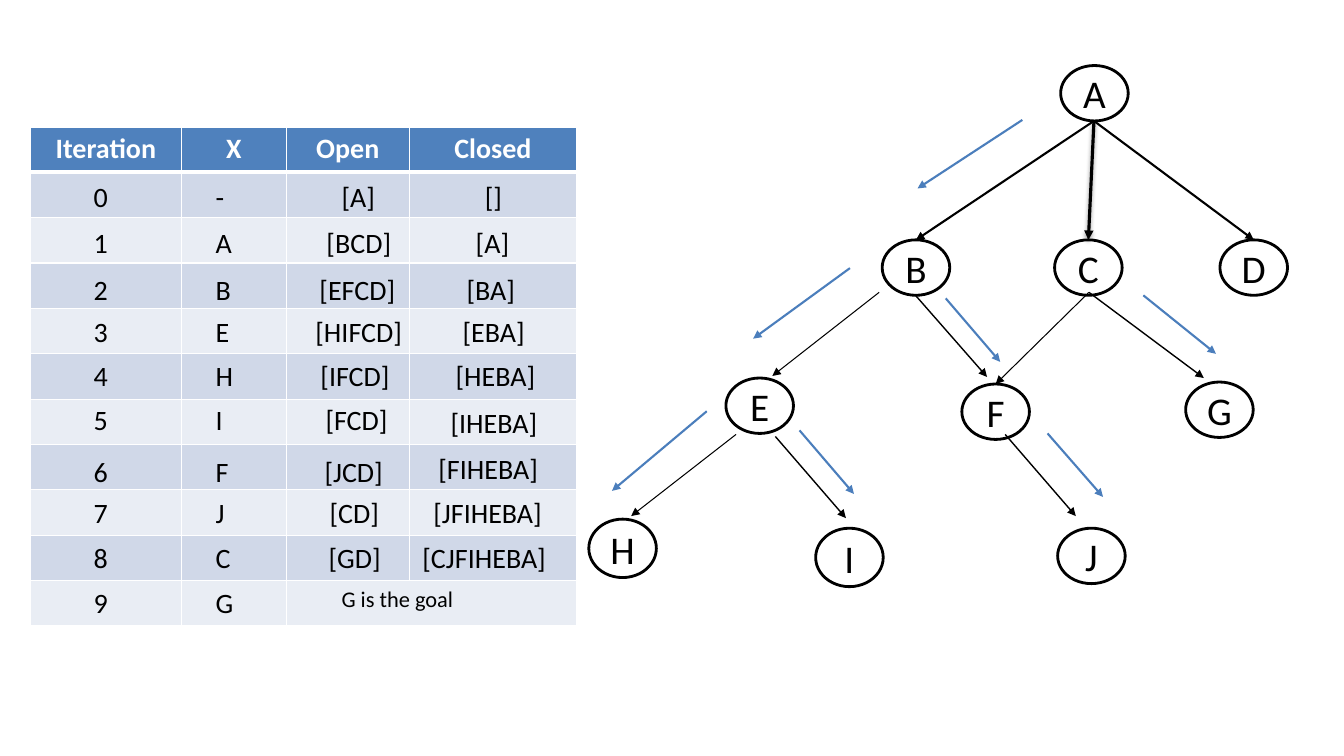
from lxml.etree import SubElement
from pptx import Presentation
from pptx.dml.color import RGBColor
from pptx.enum.shapes import MSO_CONNECTOR, MSO_SHAPE
from pptx.enum.text import MSO_ANCHOR, PP_ALIGN
from pptx.oxml import parse_xml
from pptx.oxml.ns import nsdecls, qn
from pptx.util import Inches, Pt

BLACK, WHITE, BLUE = "000000", "FFFFFF", "4B7EBC"
HEAD, BANDS = "4F81BD", ("D0D8E8", "E9EDF4")

# Table: column widths, header names, row height
COLS = (1.5, 1.04, 1.22, 1.66)
NAMES = ("Iteration", "X", "Open", "Closed")
ROW = 0.45

# Search steps: top, X, then (text, left, width) for Open and Closed
STEPS = [
    (1.73, "-", ("[A]", 3.29, 0.54), ("[]", 4.71, 0.42)),
    (2.19, "A", ("[BCD]", 3.14, 0.84), ("[A]", 4.62, 0.8)),
    (2.65, "B", ("[EFCD]", 3.07, 1.2), ("[BA]", 4.53, 0.8)),
    (3.07, "E", ("[HIFCD]", 3.03, 1.15), ("[EBA]", 4.49, 1.03)),
    (3.51, "H", ("[IFCD]", 3.08, 0.98), ("[HEBA]", 4.42, 1.03)),
    (3.94, "I", ("[FCD]", 3.13, 0.82), ("[IHEBA]", 4.37, 1.16)),
    (4.46, "F", ("[JCD]", 3.12, 0.95), ("[FIHEBA]", 4.25, 1.26)),
    (4.87, "J", ("[CD]", 3.17, 0.73), ("[JFIHEBA]", 4.2, 1.46)),
    (5.31, "C", ("[GD]", 3.16, 0.72), ("[CJFIHEBA]", 4.09, 1.71)),
    (5.76, "G", None, None),
]
SHIFT = {5: 0.03, 6: -0.03}  # vertical offset of Closed in these steps

# Tree nodes: left, top, height
NODES = {
    "A": (10.52, 0.65, 0.55), "B": (8.75, 2.38, 0.55),
    "C": (10.46, 2.38, 0.55), "D": (12.1, 2.38, 0.55),
    "E": (7.2, 3.75, 0.55), "F": (9.54, 3.81, 0.55),
    "G": (11.76, 3.79, 0.55), "H": (5.84, 5.15, 0.58),
    "J": (10.49, 5.24, 0.55), "I": (8.09, 5.24, 0.58),
}

# Tree edges: start, end, width, node joined at its top
EDGES = [
    ((10.85, 1.2), (10.82, 2.38), 2.25, "C"),
    ((10.85, 1.2), (9.08, 2.38), 1.5, "B"),
    ((10.85, 1.2), (12.43, 2.38), 1.5, "D"),
    ((8.72, 2.9), (7.66, 3.73), 0.75, None),
    ((9.08, 2.93), (9.79, 3.74), 1, None),
    ((10.8, 2.9), (9.87, 3.81), 0.75, "F"),
    ((10.8, 2.9), (11.94, 3.75), 1, None),
    ((7.3, 4.31), (6.26, 5.12), 0.75, None),
    ((7.69, 4.33), (8.39, 5.14), 1, None),
    ((9.97, 4.31), (10.67, 5.12), 1, None),
]

# Blue arrows that show the order of the search
MOVES = [
    ((10.14, 1.19), (9.1, 1.87)),
    ((8.43, 2.66), (7.47, 3.36)),
    ((7.01, 4.08), (6.07, 4.87)),
    ((7.93, 4.27), (8.47, 4.9)),
    ((9.38, 2.96), (9.92, 3.59)),
    ((10.39, 4.3), (10.94, 4.93)),
    ((11.34, 2.93), (12.06, 3.51)),
]


def rgb(code):
    return RGBColor.from_string(code)


def write(frame, text, size=20, color=BLACK, bold=False, align=PP_ALIGN.LEFT):
    line = frame.paragraphs[0]
    line.alignment = align
    run = line.add_run()
    run.text = text
    font = run.font
    font.name, font.size, font.bold = "Calibri", Pt(size), bold
    font.color.rgb = rgb(color)


def border(cell, top, base):
    props = cell._tc.get_or_add_tcPr()
    for side, width in zip("LRTB", (1, 1, top, base)):
        props.append(parse_xml(
            f'<a:ln{side} {nsdecls("a")} w="{Pt(width)}"><a:solidFill>'
            f'<a:srgbClr val="{WHITE}"/></a:solidFill></a:ln{side}>'))


class Board:
    def __init__(self, slide):
        self.shapes = slide.shapes

    def grid(self, left, top, count):
        width = Inches(sum(COLS))
        table = self.shapes.add_table(count, len(COLS), Inches(left), Inches(top),
                                      width, Inches(ROW * count)).table
        for col, size in zip(table.columns, COLS):
            col.width = Inches(size)
        for r, row in enumerate(table.rows):
            row.height = Inches(ROW)
            for c, cell in enumerate(row.cells):
                border(cell, 3 if r == 1 else 1, 3 if r == 0 else 1)
                cell.fill.solid()
                cell.fill.fore_color.rgb = rgb(BANDS[(r - 1) % 2] if r else HEAD)
                if r == 0:
                    write(cell.text_frame, NAMES[c], color=WHITE, bold=True,
                          align=PP_ALIGN.CENTER)
        table.cell(count - 1, 2).merge(table.cell(count - 1, 3))

    def label(self, text, left, top, width, height=0.44, **style):
        box = self.shapes.add_textbox(Inches(left), Inches(top),
                                      Inches(width), Inches(height))
        frame = box.text_frame
        frame.word_wrap = True
        frame.margin_right = 0
        write(frame, text, **style)

    def node(self, name, left, top, height):
        oval = self.shapes.add_shape(MSO_SHAPE.OVAL, Inches(left), Inches(top),
                                     Inches(0.67), Inches(height))
        oval.shadow.inherit = False
        oval.fill.solid()
        oval.fill.fore_color.rgb = rgb(WHITE)
        oval.line.color.rgb = rgb(BLACK)
        oval.line.width = Pt(2)
        frame = oval.text_frame
        frame.margin_left = frame.margin_right = 0
        frame.vertical_anchor = MSO_ANCHOR.MIDDLE
        write(frame, name, size=28, align=PP_ALIGN.CENTER)
        return oval

    def arrow(self, start, end, width=1.5, color=BLUE, goal=None, shade=False):
        line = self.shapes.add_connector(MSO_CONNECTOR.STRAIGHT,
                                         *map(Inches, start + end))
        if goal is not None:
            line.end_connect(goal, 0)
        line.line.color.rgb = rgb(color)
        line.line.width = Pt(width)
        props = line._element.spPr
        SubElement(props.find(qn("a:ln")), qn("a:tailEnd"), type="triangle")
        effect = SubElement(props, qn("a:effectLst"))
        if shade:
            cast = SubElement(effect, qn("a:outerShdw"), blurRad="40000",
                              dist="20000", dir="5400000", rotWithShape="0")
            tone = SubElement(cast, qn("a:srgbClr"), val=BLACK)
            SubElement(tone, qn("a:alpha"), val="38000")


def main():
    deck = Presentation()
    deck.slide_width, deck.slide_height = Inches(13.33), Inches(7.5)
    board = Board(deck.slides.add_slide(deck.slide_layouts[6]))

    # Table
    board.grid(0.3, 1.26, len(STEPS) + 1)

    # Tree
    nodes = {name: board.node(name, *place) for name, place in NODES.items()}
    for start, end, width, goal in EDGES:
        board.arrow(start, end, width, BLACK, nodes.get(goal), shade=width > 2)

    # Step values
    for i, (top, name, queue, done) in enumerate(STEPS):
        board.label(str(i), 0.83, top, 0.34)
        board.label(name, 2.04, top, 0.34)
        for item, shift in ((queue, 0), (done, SHIFT.get(i, 0))):
            if item:
                text, left, width = item
                board.label(text, left, top + shift, width)
    board.label("G is the goal", 3.29, STEPS[-1][0], 1.64, 0.37, size=16)

    # Search order
    for start, end in MOVES:
        board.arrow(start, end)

    deck.save("out.pptx")


if __name__ == "__main__":
    main()
